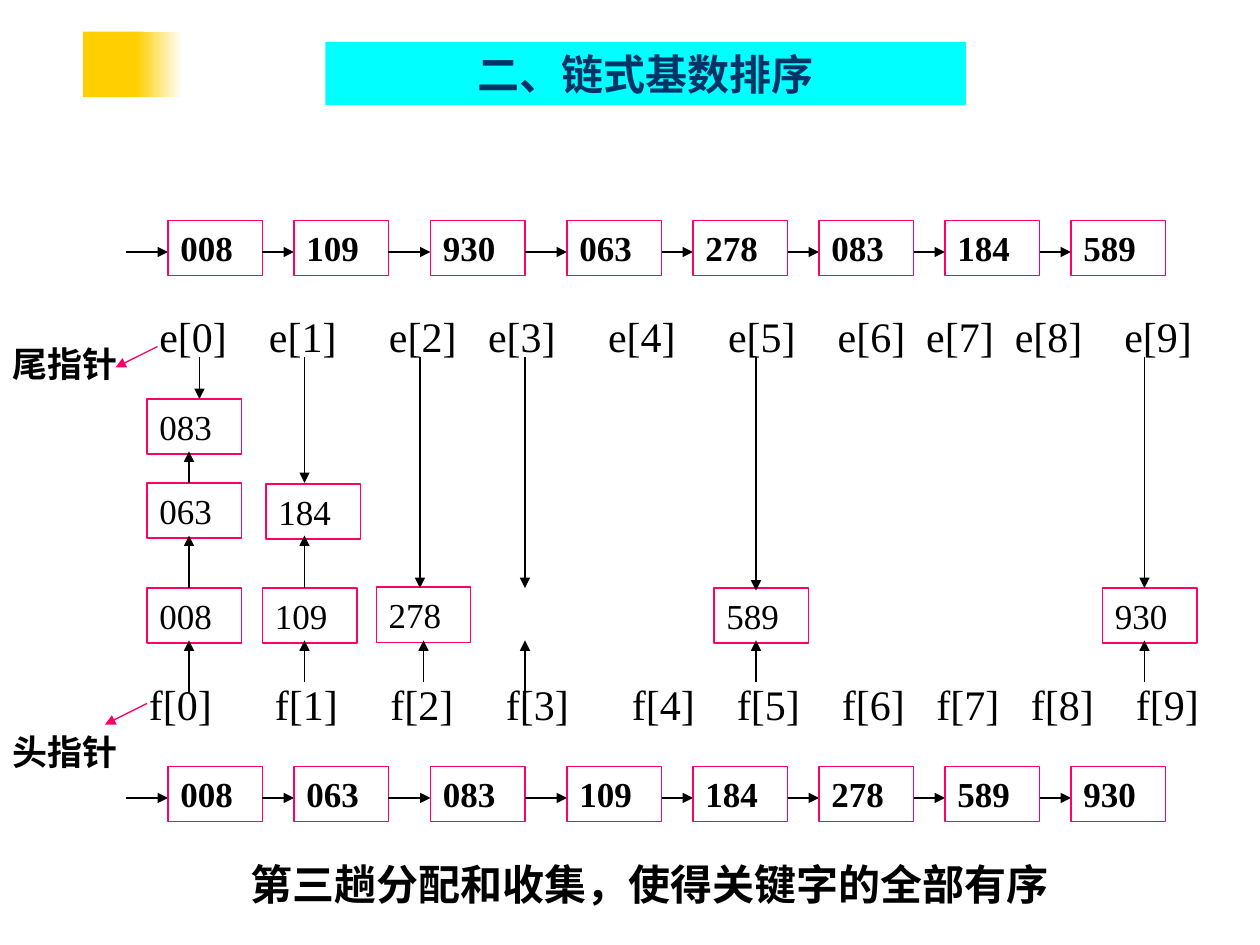
from itertools import accumulate

from lxml import etree
from pptx import Presentation
from pptx.dml.color import RGBColor
from pptx.enum.shapes import MSO_CONNECTOR, MSO_SHAPE
from pptx.enum.text import MSO_ANCHOR, PP_ALIGN
from pptx.oxml.ns import qn
from pptx.util import Pt

RECTANGLE = MSO_SHAPE.RECTANGLE
STRAIGHT = MSO_CONNECTOR.STRAIGHT
TOP = MSO_ANCHOR.TOP
LEFT, CENTER = PP_ALIGN.LEFT, PP_ALIGN.CENTER
color = RGBColor.from_string
BLACK, PINK, YELLOW = "000000", "FF0066", "FFCF01"
NODE_WIDTH, NODE_HEIGHT = 54, 31.5

deck = Presentation()
deck.slide_width, deck.slide_height = Pt(720), Pt(540)
page = deck.slides.add_slide(deck.slide_layouts[6])


def add_box(left, top, width, height, text="", size=20, bold=False, ink=BLACK,
            fill=None, outline=None, align=LEFT, tabs=()):
    box = page.shapes.add_shape(RECTANGLE, Pt(left), Pt(top), Pt(width), Pt(height))
    box.shadow.inherit = False
    if fill:
        box.fill.solid()
        box.fill.fore_color.rgb = color(fill)
    else:
        box.fill.background()
    if outline:
        box.line.color.rgb = color(outline)
        box.line.width = Pt(0.75)
    else:
        box.line.fill.background()
    if text:
        frame = box.text_frame
        frame.word_wrap = True
        frame.vertical_anchor = TOP
        para = frame.paragraphs[0]
        para.text = text
        para.alignment = align
        if tabs:
            tab_list = etree.SubElement(para._p.get_or_add_pPr(), qn("a:tabLst"))
            for stop in tabs:
                etree.SubElement(tab_list, qn("a:tab"), pos=str(Pt(stop)), algn="l")
        font = para.font
        font.name, font.size, font.bold = "Times New Roman", Pt(size), bold
        font.color.rgb = color(ink)
    return box


def add_arrow(x1, y1, x2, y2, ink=BLACK):
    arrow = page.shapes.add_connector(STRAIGHT, Pt(x1), Pt(y1), Pt(x2), Pt(y2))
    arrow.line.color.rgb = color(ink)
    arrow.line.width = Pt(0.75)
    etree.SubElement(arrow.line._get_or_add_ln(), qn("a:tailEnd"), type="triangle")
    etree.SubElement(arrow._element.spPr, qn("a:effectLst"))


# Corner decoration and title
add_box(47.5, 18, 34.5, 37.5, fill=YELLOW)
fade = add_box(78, 18, 26, 37.5)
fade.fill.gradient()
fade.fill.gradient_angle = 0
for stop, shade in zip(fade.fill.gradient_stops, (YELLOW, "FFFFFF")):
    stop.color.rgb = color(shade)
add_box(186, 24, 366, 36, "二、链式基数排序", size=24, bold=True, ink="003366",
        fill="00FFFF", align=CENTER)

# Linked lists before distribution and after collection
node_lefts = [96, 168, 246, 324, 396, 468, 540, 612]
lists = [
    (126, "008 109 930 063 278 083 184 589"),
    (438, "008 063 083 109 184 278 589 930"),
]
for top, keys in lists:
    tail_x = 72
    for left, key in zip(node_lefts, keys.split()):
        add_arrow(tail_x, top + 18, left, top + 18)
        add_box(left, top, NODE_WIDTH, NODE_HEIGHT, key, bold=True, outline=PINK)
        tail_x = left + NODE_WIDTH

# Rows of tail (e) and head (f) pointers, with the steps between labels
pointer_rows = [
    ("e", 84, 174, [62.6, 68.6, 56.6, 68.6, 68.6, 62.6, 50.6, 50.6, 62.6]),
    ("f", 78, 384, [72, 66, 66, 72, 60, 60, 54, 54, 60]),
]
for name, left, top, steps in pointer_rows:
    labels = "\t".join(f"{name}[{digit}]" for digit in range(10))
    add_box(left, top, 720 - left, 36, labels, size=24, tabs=list(accumulate(steps)))

# Keys distributed into the queues
queue_nodes = [
    ("083", 84, 228), ("063", 84, 276), ("008", 84, 336),
    ("184", 152, 276.5), ("109", 150, 336), ("278", 215, 335.5),
    ("589", 408, 336), ("930", 630, 336),
]
for key, left, top in queue_nodes:
    add_box(left, top, NODE_WIDTH, NODE_HEIGHT, key, outline=PINK)

# Vertical arrows: x, start, end
queue_arrows = [
    (114, 204, 228), (174, 204, 276), (240, 204, 336),
    (300, 204, 336), (432, 204, 337.5), (654, 204, 336),
    (108, 396, 366), (174, 390, 366), (242, 390, 366),
    (300, 396, 366), (432, 390, 366), (654, 390, 366),
    (108, 336, 306), (108, 276, 258), (174, 336, 306),
]
for x, start, end in queue_arrows:
    add_arrow(x, start, x, end)

# Captions
add_box(0, 192, 96, NODE_HEIGHT, "尾指针", bold=True)
add_arrow(90, 198, 66, 210, PINK)
add_box(0, 414, 96, NODE_HEIGHT, "头指针", bold=True)
add_arrow(84, 402, 60, 414, PINK)
add_box(136, 487, 524, 36, "第三趟分配和收集，使得关键字的全部有序", size=24, bold=True)

deck.save("out.pptx")
